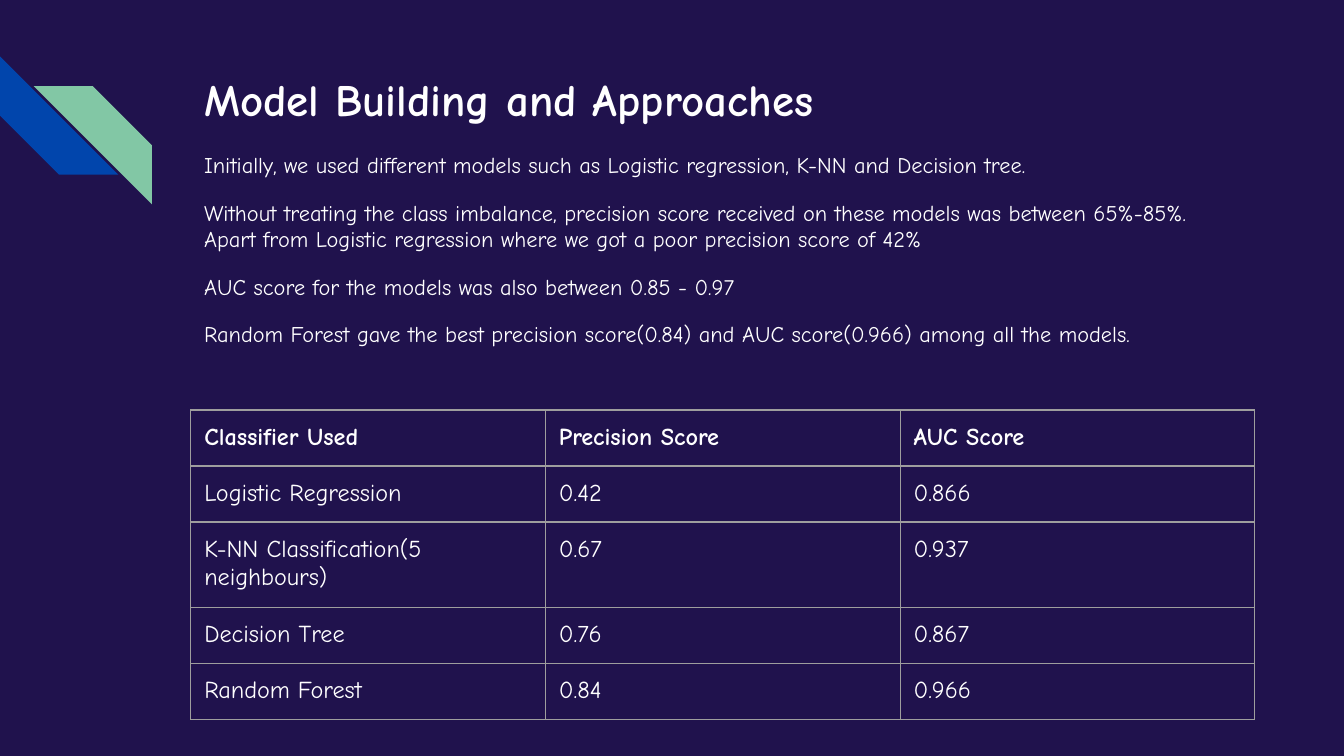
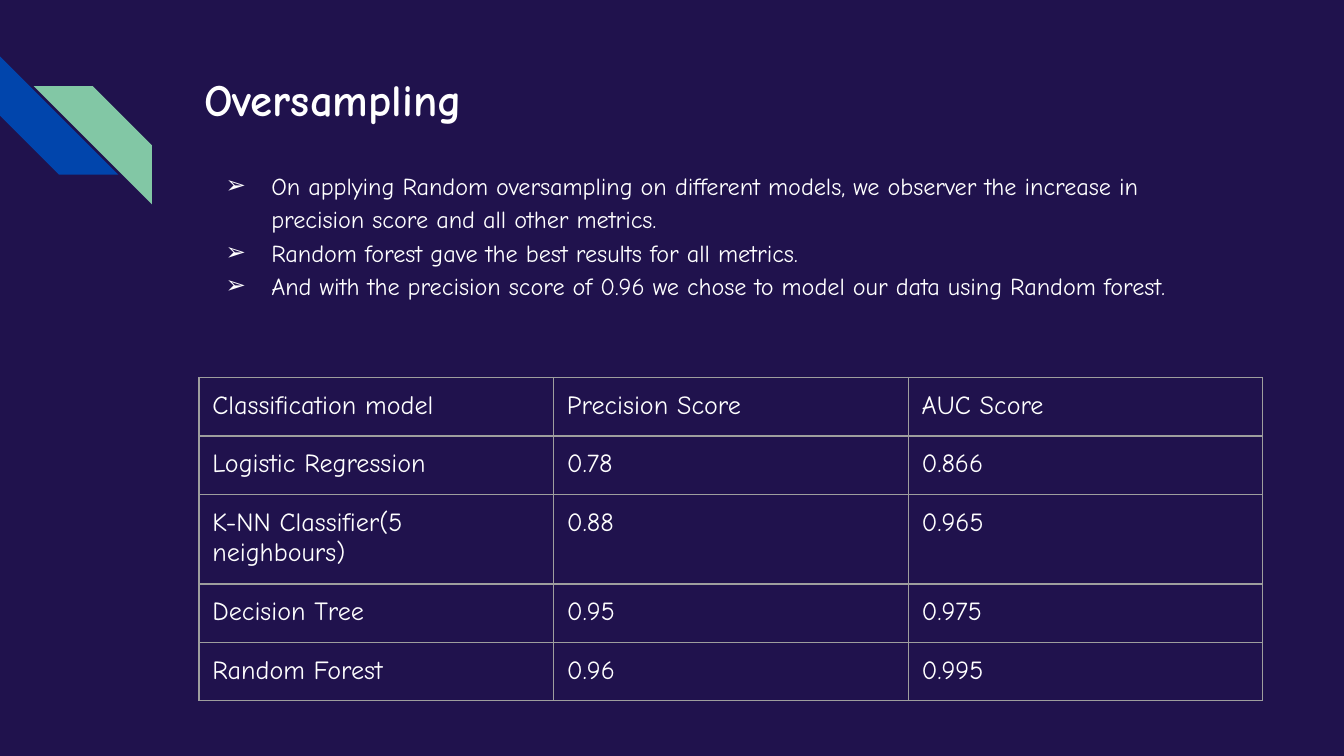
from lxml import etree
from pptx import Presentation
from pptx.dml.color import RGBColor
from pptx.enum import shapes
from pptx.oxml import ns
from pptx.util import Inches, Pt

# Shared style
NAVY = RGBColor(0x20, 0x12, 0x4D)
BLUE = RGBColor(0x01, 0x45, 0xAC)
GREEN = RGBColor(0x82, 0xC7, 0xA5)
WHITE = RGBColor(0xFF, 0xFF, 0xFF)
GREY = RGBColor(0x9E, 0x9E, 0x9E)
FONT = "Comic Neue"
LEFT = 1.42
MARGIN = 0.1
TABLE_FRAME = Inches(3.28)
COLUMN_WIDTH = Pt(190)
ROW_HEIGHT = Pt(30)


def format_runs(paragraph, size, bold=False):
    for run in paragraph.runs:
        run.font.name = FONT
        run.font.size = Pt(size)
        run.font.bold = bold
        run.font.color.rgb = WHITE


def add_stripe(slide, left, top, rotation, color):
    stripe = slide.shapes.add_shape(
        shapes.MSO_SHAPE.DIAGONAL_STRIPE,
        Inches(left), Inches(top), Inches(0.88), Inches(0.88))
    stripe.rotation = rotation
    stripe.shadow.inherit = False
    stripe.fill.solid()
    stripe.fill.fore_color.rgb = color
    stripe.line.fill.background()


def add_text(slide, position, lines, size, bold=False, line_spacing=1.0, gap=0):
    """Add a text box with one paragraph per line and return its paragraphs."""
    box = slide.shapes.add_textbox(*(Inches(length) for length in position))
    frame = box.text_frame
    frame.word_wrap = True
    frame.margin_left = frame.margin_right = Inches(MARGIN)
    frame.margin_top = frame.margin_bottom = Inches(MARGIN)
    frame.text = "\n".join(lines)
    for index, paragraph in enumerate(frame.paragraphs):
        paragraph.line_spacing = line_spacing
        paragraph.space_before = Pt(gap if index else 0)
        format_runs(paragraph, size, bold)
    return frame.paragraphs


def add_bullet(paragraph):
    properties = paragraph._p.get_or_add_pPr()
    properties.set("marL", str(Inches(0.5)))
    properties.set("indent", str(Inches(-0.34)))
    color = etree.SubElement(properties, ns.qn("a:buClr"))
    etree.SubElement(color, ns.qn("a:srgbClr"), val=str(WHITE))
    etree.SubElement(properties, ns.qn("a:buFont"), typeface=FONT)
    etree.SubElement(properties, ns.qn("a:buChar"), char="➢")


def add_borders(cell):
    properties = cell._tc.get_or_add_tcPr()
    for index, side in enumerate(("a:lnL", "a:lnR", "a:lnT", "a:lnB")):
        line = etree.Element(ns.qn(side), w=str(Pt(0.75)))
        fill = etree.SubElement(line, ns.qn("a:solidFill"))
        etree.SubElement(fill, ns.qn("a:srgbClr"), val=str(GREY))
        properties.insert(index, line)


def add_score_table(slide, left, top, rows, size, bold_header=False):
    frame = slide.shapes.add_table(
        len(rows), len(rows[0]), Inches(left), Inches(top),
        TABLE_FRAME, TABLE_FRAME)
    table = frame.table
    table.first_row = False
    table.horz_banding = False
    for column in table.columns:
        column.width = COLUMN_WIDTH
    for row in table.rows:
        row.height = ROW_HEIGHT
    # The rows grow with their text inside a fixed frame
    frame.width = frame.height = TABLE_FRAME
    for row_index, row in enumerate(rows):
        for column_index, value in enumerate(row):
            cell = table.cell(row_index, column_index)
            cell.margin_left = cell.margin_right = Inches(MARGIN)
            cell.margin_top = cell.margin_bottom = Inches(MARGIN)
            cell.text_frame.text = value
            format_runs(cell.text_frame.paragraphs[0], size,
                        bold_header and row_index == 0)
            cell.fill.background()
            add_borders(cell)


def add_base_slide(presentation, title, title_width, title_height):
    """Add a navy slide with the corner stripes and a title."""
    slide = presentation.slides.add_slide(presentation.slide_layouts[6])
    slide.background.fill.solid()
    slide.background.fill.fore_color.rgb = NAVY
    add_stripe(slide, 0, 0.42, 270, BLUE)
    add_stripe(slide, 0.25, 0.64, 90, GREEN)
    add_text(slide, (LEFT, 0.43, title_width, title_height), [title], 24,
             bold=True)
    return slide


def add_models_slide(presentation):
    slide = add_base_slide(presentation, "Model Building and Approaches",
                           5.75, 0.69)
    add_text(slide, (LEFT, 1.04, 7.92, 2.06), [
        "Initially, we used different models such as Logistic regression, "
        "K-NN and Decision tree.",
        "Without treating the class imbalance, precision score received on "
        "these models was between 65%-85%. Apart from Logistic regression "
        "where we got a poor precision score of 42%",
        "AUC score for the models was also between 0.85 - 0.97",
        "Random Forest gave the best precision score(0.84) and AUC "
        "score(0.966) among all the models.",
    ], 12, line_spacing=0.95, gap=12)
    add_score_table(slide, LEFT, 3.05, [
        ("Classifier Used", "Precision Score", "AUC Score"),
        ("Logistic Regression", "0.42", "0.866"),
        ("K-NN Classification(5 neighbours)", "0.67", "0.937"),
        ("Decision Tree", "0.76", "0.867"),
        ("Random Forest", "0.84", "0.966"),
    ], 13, bold_header=True)


def add_oversampling_slide(presentation):
    slide = add_base_slide(presentation, "Oversampling", 7.72, 0.62)
    paragraphs = add_text(slide, (LEFT, 1.14, 7.81, 1.68), [
        "On applying Random oversampling on different models, we observer "
        "the increase in precision score and all other metrics.",
        "Random forest gave the best results for all metrics.",
        "And with the precision score of 0.96 we chose to model our data "
        "using Random forest.",
    ], 13, line_spacing=1.15)
    for paragraph in paragraphs:
        add_bullet(paragraph)
    add_score_table(slide, 1.48, 2.81, [
        ("Classification model", "Precision Score", "AUC Score"),
        ("Logistic Regression", "0.78", "0.866"),
        ("K-NN Classifier(5 neighbours)", "0.88", "0.965"),
        ("Decision Tree", "0.95", "0.975"),
        ("Random Forest", "0.96", "0.995"),
    ], 14)


def main():
    presentation = Presentation()
    # Widescreen, 16:9
    presentation.slide_width = Inches(10)
    presentation.slide_height = Inches(10) * 9 // 16
    add_models_slide(presentation)
    add_oversampling_slide(presentation)
    presentation.save("out.pptx")


if __name__ == "__main__":
    main()
